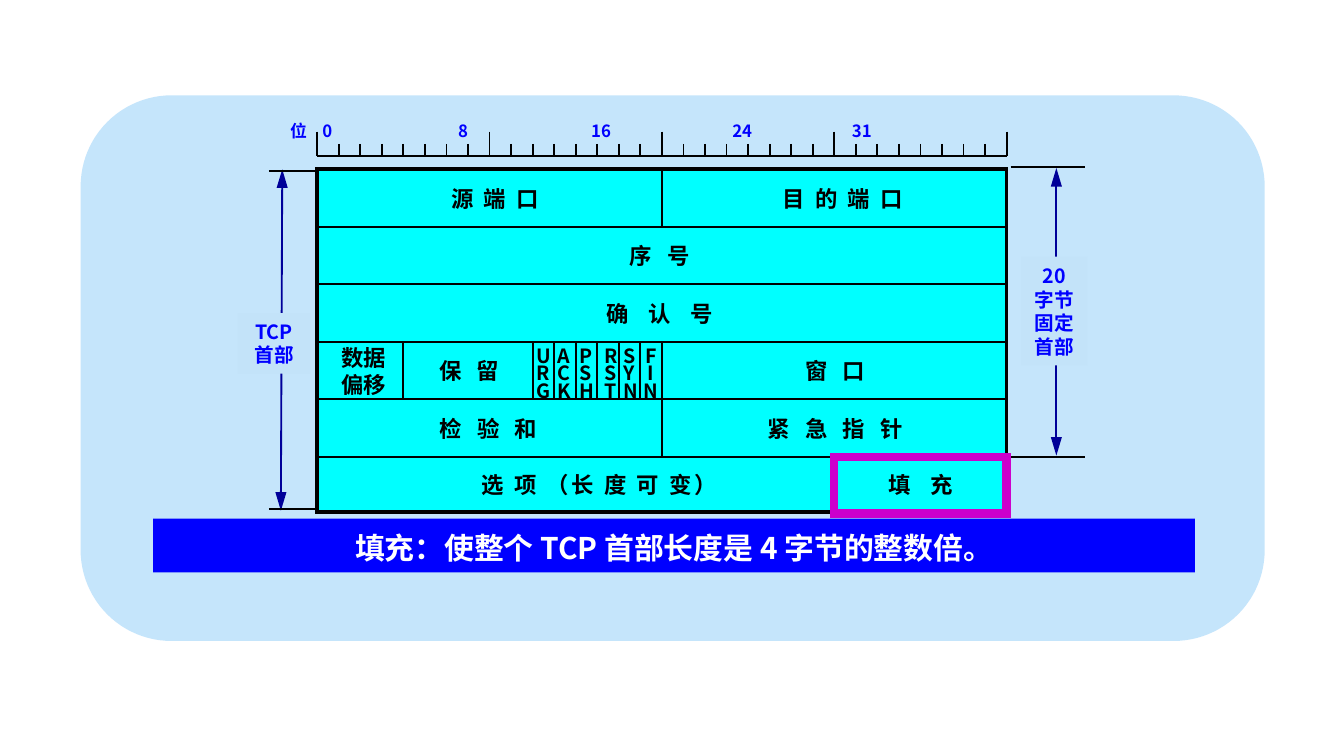
from lxml.etree import SubElement
from pptx import Presentation
from pptx.dml.color import RGBColor
from pptx.enum.shapes import MSO_CONNECTOR, MSO_SHAPE
from pptx.enum.text import MSO_ANCHOR, PP_ALIGN
from pptx.oxml.ns import qn
from pptx.util import Inches, Pt

FONT = "Noto Sans CJK SC"
COLORS = {
    "panel": "C5E5FB", "label": "C3E3F9", "cell": "00FFFF", "black": "000000",
    "blue": "0000FF", "arrow": "000099", "frame": "CC00CC", "white": "FFFFFF",
}

# Header grid: 32 bits wide, five equal rows and a slightly shorter sixth
LEFT, TOP, RIGHT, BOTTOM = 2.36, 1.26, 7.49, 3.81
FIXED_END = 3.4
BIT, ROW = (RIGHT - LEFT) / 32, (FIXED_END - TOP) / 5
RULER_Y = 1.16

# Field name, first bit and width in bits of its box, row, extra letter gap in points
FIELDS = [
    ("源 端 口", 5.4, 5.7, 0, 1.35),
    ("目 的 端 口", 20.7, 7.4, 0, 1.35),
    ("序 号", 13, 5.8, 1, 2.7),
    ("确 认 号", 12, 7.8, 2, 4),
    ("数据\n偏移", 0.45, 3.4, 3, 0),
    ("保 留", 4.9, 4.3, 3, 2.7),
    ("窗 口", 21.9, 4.3, 3, 2.7),
    ("检 验 和", 4.8, 6.3, 4, 2.7),
    ("紧 急 指 针", 19.9, 8.3, 4, 2.7),
    ("选 项 （长 度 可 变）", 5.9, 14.4, 5, 1.35),
    ("填 充", 25.4, 5.2, 5, 4),
]
FLAGS = [("URG", 9.55), ("ACK", 10.55), ("PSH", 11.55),
         ("RST", 12.7), ("SYN", 13.6), ("FIN", 14.5)]
# Bit, first row, last row
DIVIDERS = [(16, 0, 1), (16, 3, 5), (4, 3, 4), (24, 5, 6)]
DIVIDERS += [(bit, 3, 4) for bit in range(10, 16)]


def color(name):
    return RGBColor.from_string(COLORS[name])


def bit_x(bit):
    return LEFT + bit * BIT


def row_y(row):
    return min(TOP + row * ROW, BOTTOM)


def add_block(shapes, kind, area, fill=None, line=None, width=1):
    block = shapes.add_shape(kind, *map(Inches, area))
    block.shadow.inherit = False
    if fill:
        block.fill.solid()
        block.fill.fore_color.rgb = color(fill)
    else:
        block.fill.background()
    if line:
        block.line.color.rgb = color(line)
        block.line.width = Pt(width)
        SubElement(block.line._get_or_add_ln(), qn("a:miter"), lim="800000")
    else:
        block.line.fill.background()
    return block


def add_line(shapes, x1, y1, x2, y2, ink="black", arrows=False):
    line = shapes.add_connector(MSO_CONNECTOR.STRAIGHT, *map(Inches, (x1, y1, x2, y2)))
    line.line.color.rgb = color(ink)
    line.line.width = Pt(1)
    if arrows:
        for end in ("a:headEnd", "a:tailEnd"):
            SubElement(line.line._get_or_add_ln(), qn(end), type="triangle", w="med", len="lg")
    SubElement(line._element.spPr, qn("a:effectLst"))


def write(box, text, size, ink, align=PP_ALIGN.CENTER, wrap=False,
          spacing=None, gap=0, tabs=()):
    frame = box.text_frame
    frame.word_wrap = wrap
    frame.vertical_anchor = MSO_ANCHOR.MIDDLE
    frame.text = text
    for para in frame.paragraphs:
        para.alignment = align
        if spacing:
            para.line_spacing = spacing
        if tabs:
            stops = SubElement(para._p.get_or_add_pPr(), qn("a:tabLst"))
            for stop in tabs:
                SubElement(stops, qn("a:tab"), pos=str(Inches(stop)), algn="l")
        for span in para.runs:
            span.font.size = Pt(size)
            span.font.bold = True
            span.font.color.rgb = color(ink)
            span.font.name = FONT
            props = span._r.get_or_add_rPr()
            SubElement(props, qn("a:ea"), typeface=FONT)
            if gap:
                props.set("spc", str(round(gap * 100)))


def add_text(shapes, area, text, size, ink, **style):
    write(shapes.add_textbox(*map(Inches, area)), text, size, ink, **style)


def add_label(shapes, area, text, wrap=False):
    label = add_block(shapes, MSO_SHAPE.RECTANGLE, area, "label")
    write(label, text, 10.5, "blue", wrap=wrap)


def add_ruler(shapes):
    add_line(shapes, LEFT, RULER_Y, RIGHT, RULER_Y)
    for bit in range(33):
        height = 0.18 if bit % 8 == 0 else 0.09
        add_line(shapes, bit_x(bit), RULER_Y - height, bit_x(bit), RULER_Y)
    add_text(shapes, (2.06, 0.85, 5.58, 0.25), "位\t0\t8\t16\t24\t31", 9, "blue",
             align=PP_ALIGN.LEFT, wrap=True, tabs=(0.24, 1.25, 2.24, 3.29, 4.18))


def add_header(shapes):
    add_block(shapes, MSO_SHAPE.RECTANGLE, (LEFT, TOP, RIGHT - LEFT, BOTTOM - TOP),
              "cell", "black", 2)
    for row in range(1, 6):
        add_line(shapes, LEFT, row_y(row), RIGHT, row_y(row))
    for bit, first, last in DIVIDERS:
        add_line(shapes, bit_x(bit), row_y(first), bit_x(bit), row_y(last))
    for text, bit, bits, row, gap in FIELDS:
        height = row_y(row + 1) - row_y(row)
        add_text(shapes, (bit_x(bit), row_y(row), bits * BIT, height), text, 12, "black", gap=gap)
    for name, bit in FLAGS:
        align = PP_ALIGN.CENTER if name == "FIN" else PP_ALIGN.LEFT
        add_text(shapes, (bit_x(bit), row_y(3) - 0.01, 2 * BIT, 0.52), "\n".join(name),
                 10.5, "black", align=align, spacing=0.75)


def add_measures(shapes):
    # Whole header on the left, fixed part on the right
    add_line(shapes, 2.1, TOP, 2.09, 3.8, "arrow", arrows=True)
    add_line(shapes, 7.86, 1.25, 7.86, 3.39, "arrow", arrows=True)
    for x1, x2, y in [(2, LEFT, 1.27), (2, LEFT, 3.79),
                      (7.52, 8.07, 1.24), (7.52, 8.07, FIXED_END)]:
        add_line(shapes, x1, y, x2, y)
    add_label(shapes, (1.77, 2.33, 0.54, 0.45), "TCP 首部", wrap=True)
    add_label(shapes, (7.6, 1.91, 0.49, 0.81), "20\n字节\n固定\n首部")


def main():
    deck = Presentation()
    deck.slide_width = Inches(10)
    deck.slide_height = deck.slide_width * 9 // 16
    page = deck.slides.add_slide(deck.slide_layouts[6])
    shapes = page.shapes

    add_block(shapes, MSO_SHAPE.ROUNDED_RECTANGLE, (0.6, 0.71, 8.81, 4.06), "panel")
    add_measures(shapes)
    add_header(shapes)

    # Explanation and the padding field it refers to
    bar = add_block(shapes, MSO_SHAPE.RECTANGLE, (1.14, 3.86, 7.75, 0.4), "blue")
    write(bar, "填充：使整个 TCP 首部长度是 4 字节的整数倍。", 16, "white", wrap=True, spacing=1.1)
    add_block(shapes, MSO_SHAPE.RECTANGLE, (bit_x(24), FIXED_END, 8 * BIT, 0.42),
              line="frame", width=4.5)

    add_ruler(shapes.add_group_shape().shapes)
    deck.save("out.pptx")


if __name__ == "__main__":
    main()
